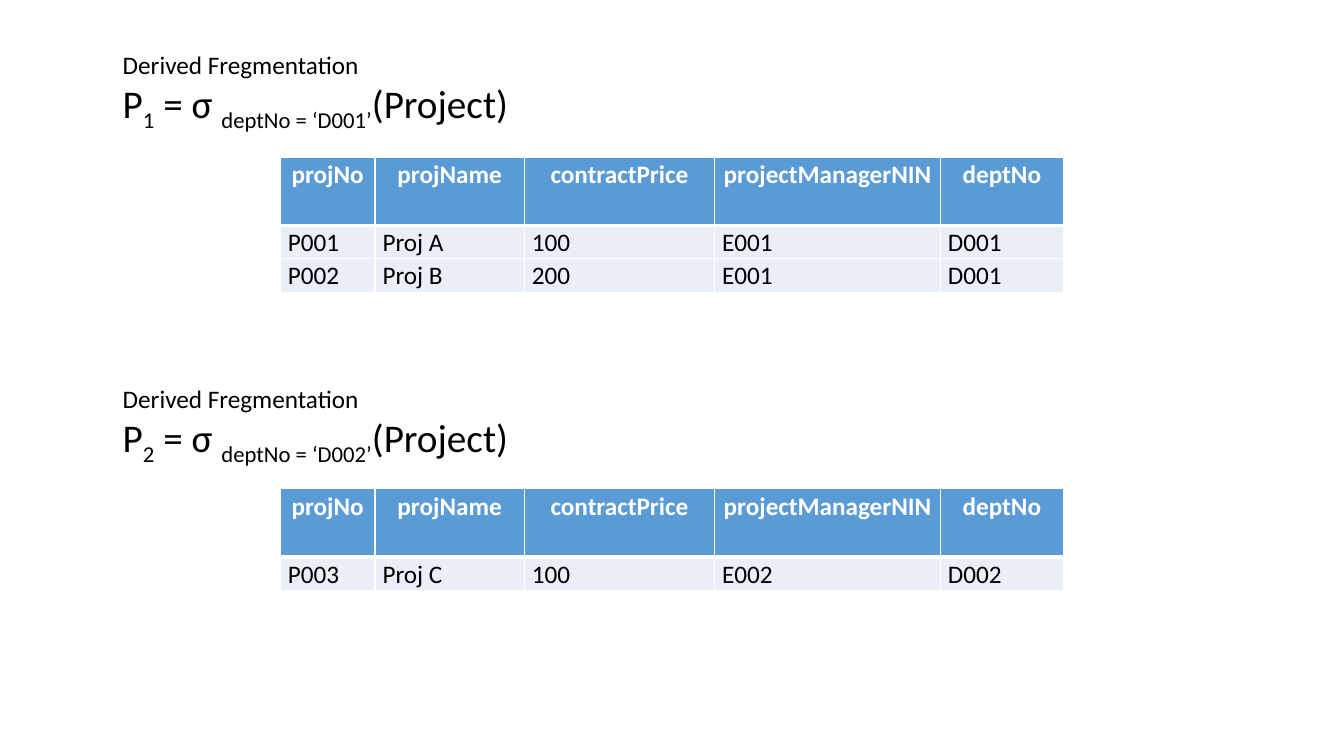
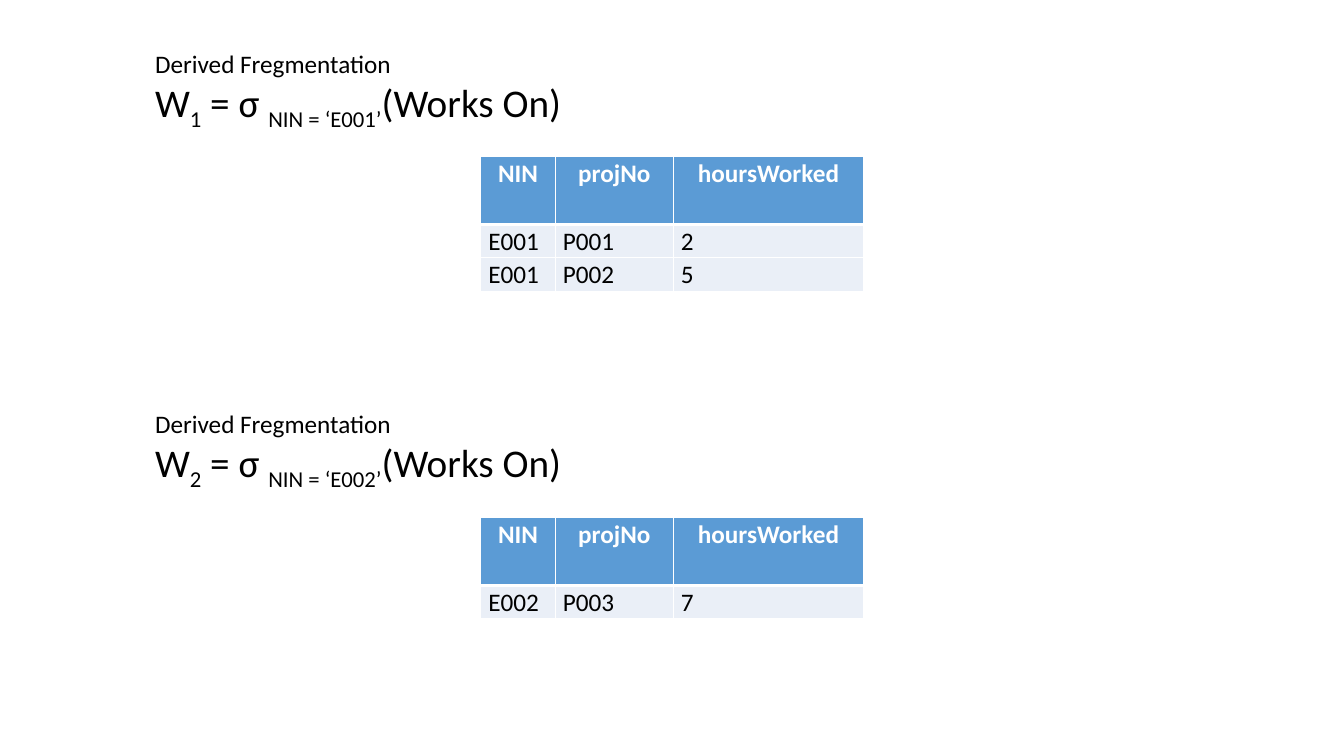
from pptx import Presentation
from pptx.dml.color import RGBColor
from pptx.enum import text
from pptx.oxml.xmlchemy import OxmlElement
from pptx.util import Pt

FONT = "Calibri"
COLORS = {"header": "5B9BD5", "body": "EAEFF7", "white": "FFFFFF", "black": "000000"}
HEADER_H, ROW_H = 48.8, 23.8
RULE, HEAVY_RULE = 1, 3

PROJECT = ["projNo", "projName", "contractPrice", "projectManagerNIN", "deptNo"]
WORKS_ON = ["NIN", "projNo", "hoursWorked"]

slides = [
    dict(
        relation="Project", symbol="P", key="deptNo", columns=PROJECT,
        widths=[67.7, 106.6, 136, 161.3, 87.8],
        text_x=44.6, text_w=349.2, table_x=200.2,
        fragments=[
            (31.7, 112.3, "D001", [["P001", "Proj A", "100", "E001", "D001"],
                                   ["P002", "Proj B", "200", "E001", "D001"]]),
            (270, 349.2, "D002", [["P003", "Proj C", "100", "E002", "D002"]]),
        ],
    ),
    dict(
        relation="Works On", symbol="W", key="NIN", columns=WORKS_ON,
        widths=[53.3, 84.3, 136],
        text_x=67.7, text_w=360, table_x=343.4,
        fragments=[
            (31, 111.6, "E001", [["E001", "P001", "2"], ["E001", "P002", "5"]]),
            (288, 369.4, "E002", [["E002", "P003", "7"]]),
        ],
    ),
]


def set_font(p, size, color, bold=False):
    p.font.name, p.font.size, p.font.bold = FONT, Pt(size), bold
    p.font.color.rgb = RGBColor.from_string(COLORS[color])


def add_borders(cell, top, bottom):
    """Draw white cell borders; call before the fill, which must follow them."""
    tcPr = cell._tc.get_or_add_tcPr()
    for side, width in (("L", RULE), ("R", RULE), ("T", top), ("B", bottom)):
        ln = OxmlElement(f"a:ln{side}")
        ln.set("w", str(Pt(width)))
        fill = OxmlElement("a:solidFill")
        color = OxmlElement("a:srgbClr")
        color.set("val", COLORS["white"])
        fill.append(color)
        ln.append(fill)
        tcPr.append(ln)


prs = Presentation()
prs.slide_width, prs.slide_height = Pt(960), Pt(540)

for d in slides:
    s = prs.slides.add_slide(prs.slide_layouts[6])
    for number, (text_y, table_y, value, records) in enumerate(d["fragments"], 1):
        # Fragment table
        rows = [d["columns"]] + records
        height = HEADER_H + ROW_H * len(records)
        table = s.shapes.add_table(len(rows), len(d["columns"]), Pt(d["table_x"]), Pt(table_y),
                                   Pt(sum(d["widths"])), Pt(height)).table
        for column, width in zip(table.columns, d["widths"]):
            column.width = Pt(width)
        for i, row in enumerate(rows):
            header = i == 0
            table.rows[i].height = Pt(HEADER_H if header else ROW_H)
            for j, value_text in enumerate(row):
                cell = table.cell(i, j)
                add_borders(cell, HEAVY_RULE if i == 1 else RULE, HEAVY_RULE if header else RULE)
                cell.fill.solid()
                cell.fill.fore_color.rgb = RGBColor.from_string(COLORS["header" if header else "body"])
                cell.margin_left = cell.margin_right = Pt(5.4)
                cell.margin_top = cell.margin_bottom = 0
                cell.text = value_text
                p = cell.text_frame.paragraphs[0]
                p.line_spacing = 1.07
                p.alignment = text.PP_ALIGN.CENTER if header else text.PP_ALIGN.LEFT
                set_font(p, 18, "white" if header else "black", header)

        # Caption and selection formula
        tf = s.shapes.add_textbox(Pt(d["text_x"]), Pt(text_y), Pt(d["text_w"]), Pt(63.4)).text_frame
        tf.word_wrap = False
        tf.auto_size = text.MSO_AUTO_SIZE.SHAPE_TO_FIT_TEXT
        caption, formula = tf.paragraphs[0], tf.add_paragraph()
        caption.add_run().text = "Derived Fregmentation"
        parts = [d["symbol"], str(number), " = σ ", f"{d['key']} = ‘{value}’", f"({d['relation']})"]
        for k, part in enumerate(parts):
            r = formula.add_run()
            r.text = part
            if k % 2:  # every second part is a subscript
                r.font._element.set("baseline", "-25000")
        for p, size in ((caption, 18), (formula, 28)):
            p.level = 1
            p.alignment = text.PP_ALIGN.JUSTIFY
            p._p.get_or_add_pPr().set("marL", str(Pt(36)))
            set_font(p, size, "black")

prs.save("out.pptx")
